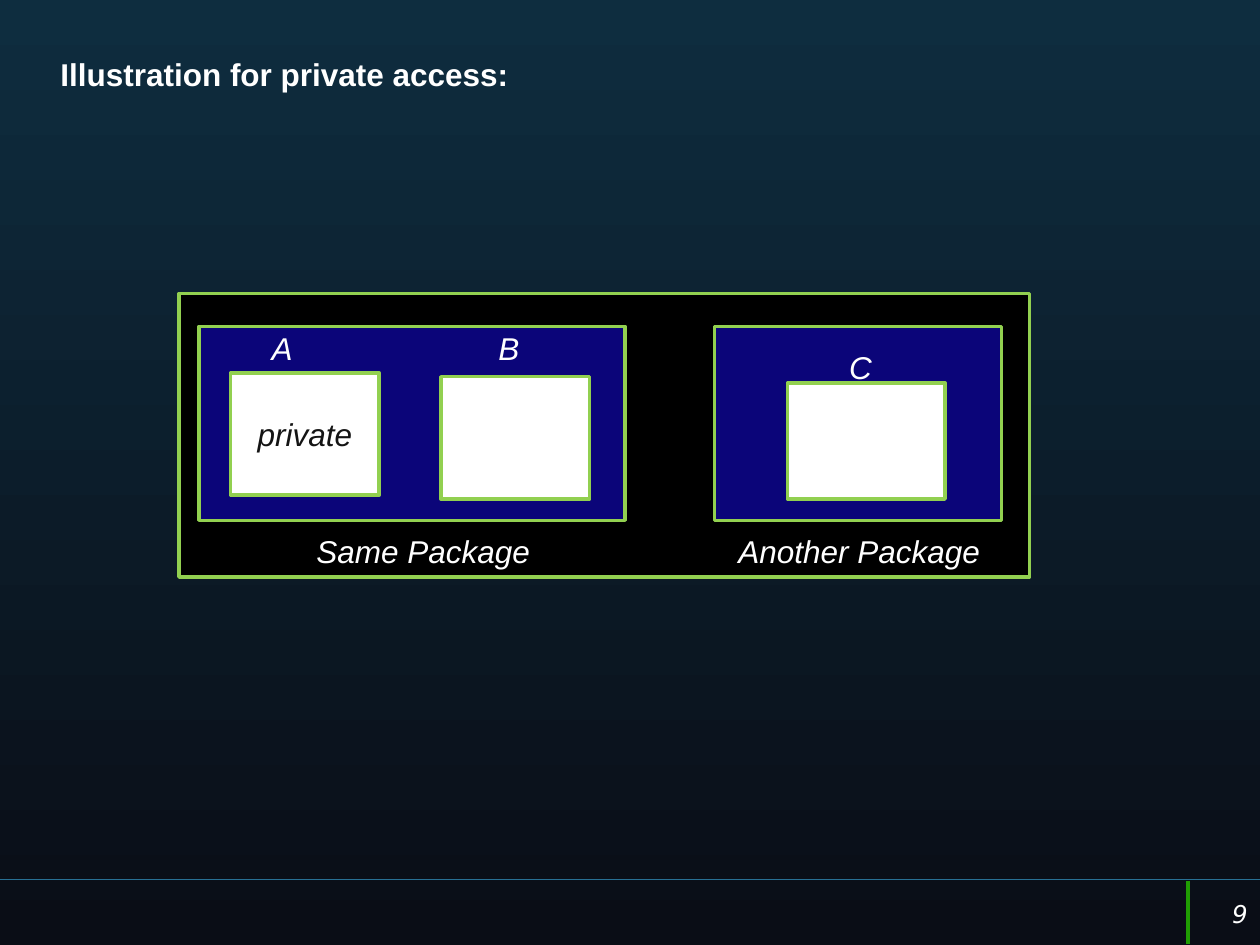
from dataclasses import dataclass

from lxml import etree
from pptx import Presentation
from pptx.dml.color import RGBColor
from pptx.enum.shapes import MSO_CONNECTOR, MSO_SHAPE
from pptx.enum.text import MSO_ANCHOR, PP_ALIGN
from pptx.oxml.ns import qn
from pptx.util import Inches, Pt

STRAIGHT = MSO_CONNECTOR.STRAIGHT
RECTANGLE = MSO_SHAPE.RECTANGLE
PROCESS = MSO_SHAPE.FLOWCHART_PROCESS
TOP, MIDDLE = MSO_ANCHOR.TOP, MSO_ANCHOR.MIDDLE
LEFT, CENTER, RIGHT = PP_ALIGN.LEFT, PP_ALIGN.CENTER, PP_ALIGN.RIGHT
TITLE_ONLY = 5


@dataclass(frozen=True)
class Theme:
    sky: str = "0E2D3F"
    night: str = "0A0D16"
    white: str = "FFFFFF"
    ink: str = "141414"
    black: str = "000000"
    navy: str = "0B0579"
    outline: str = "92D050"
    footer_rule: str = "287094"
    footer_mark: str = "209D03"
    font: str = "Arial"
    number_font: str = "DejaVu Sans"
    body_size: int = 18
    number_size: int = 14
    outline_width: float = 2


class SlideBuilder:
    def __init__(self, slide, theme):
        self.slide = slide
        self.theme = theme

    def background(self):
        fill = self.slide.background.fill
        fill.gradient()
        fill.gradient_angle = 270
        for stop, color in zip(fill.gradient_stops, (self.theme.sky, self.theme.night)):
            stop.color.rgb = RGBColor.from_string(color)

    def set_text(self, shape, text, color=None, align=CENTER, anchor=MIDDLE,
                 font=None, size=None, bold=False, italic=True):
        frame = shape.text_frame
        frame.text = text
        frame.word_wrap = True
        frame.vertical_anchor = anchor
        paragraph = frame.paragraphs[0]
        paragraph.alignment = align
        style = paragraph.font
        style.name = font or self.theme.font
        style.size = Pt(size or self.theme.body_size)
        style.bold, style.italic = bold, italic
        style.color.rgb = RGBColor.from_string(color or self.theme.white)

    def title(self, text, left, top, width, height):
        title = self.slide.shapes.title
        title.left, title.top = Inches(left), Inches(top)
        title.width, title.height = Inches(width), Inches(height)
        self.set_text(title, text, align=LEFT, anchor=TOP, bold=True, italic=False)

    def rule(self, x1, y1, x2, y2, color, width):
        rule = self.slide.shapes.add_connector(
            STRAIGHT, Inches(x1), Inches(y1), Inches(x2), Inches(y2))
        rule.line.color.rgb = RGBColor.from_string(color)
        rule.line.width = Pt(width)
        etree.SubElement(rule._element.spPr, qn("a:effectLst"))

    def box(self, left, top, width, height, fill, kind=RECTANGLE):
        box = self.slide.shapes.add_shape(
            kind, Inches(left), Inches(top), Inches(width), Inches(height))
        box.shadow.inherit = False
        box.fill.solid()
        box.fill.fore_color.rgb = RGBColor.from_string(fill)
        box.line.color.rgb = RGBColor.from_string(self.theme.outline)
        box.line.width = Pt(self.theme.outline_width)
        return box

    def text(self, text, left, top, width, height, **style):
        area = self.slide.shapes.add_textbox(
            Inches(left), Inches(top), Inches(width), Inches(height))
        self.set_text(area, text, **style)

    def label(self, text, center_x, center_y, width):
        height = 0.4
        self.text(text, center_x - width / 2, center_y - height / 2, width, height)


def main():
    theme = Theme()
    deck = Presentation()
    deck.slide_width, deck.slide_height = Inches(10), Inches(7.5)
    page = SlideBuilder(deck.slides.add_slide(deck.slide_layouts[TITLE_ONLY]), theme)

    # Background, footer and title
    page.background()
    page.rule(10, 6.98, 0, 6.98, theme.footer_rule, 0.75)
    page.rule(9.43, 6.99, 9.43, 7.49, theme.footer_mark, 2)
    page.title("Illustration for private access:", 0.38, 0.39, 9.18, 0.66)
    page.text("9", 9.42, 7, 0.58, 0.5, align=RIGHT,
              font=theme.number_font, size=theme.number_size)

    # Packages inside the outer frame
    page.box(1.42, 2.33, 6.75, 2.25, theme.black)
    packages = [("Same Package", 1.58, 3.38, 3.36), ("Another Package", 5.67, 2.28, 6.82)]
    for name, left, width, label_x in packages:
        page.box(left, 2.59, width, 1.54, theme.navy)
        page.label(name, label_x, 4.37, 2.5)

    # Classes: name, label centre, box, member
    classes = [
        ("A", (2.24, 2.76), (1.83, 2.96, 1.18, 0.97), "private"),
        ("B", (4.04, 2.76), (3.5, 2.99, 1.18, 0.97), ""),
        ("C", (6.83, 2.91), (6.25, 3.04, 1.25, 0.92), ""),
    ]
    for name, label_center, bounds, member in classes:
        page.label(name, *label_center, 0.6)
        class_box = page.box(*bounds, theme.white, PROCESS)
        if member:
            page.set_text(class_box, member, color=theme.ink)

    deck.save("out.pptx")


if __name__ == "__main__":
    main()
